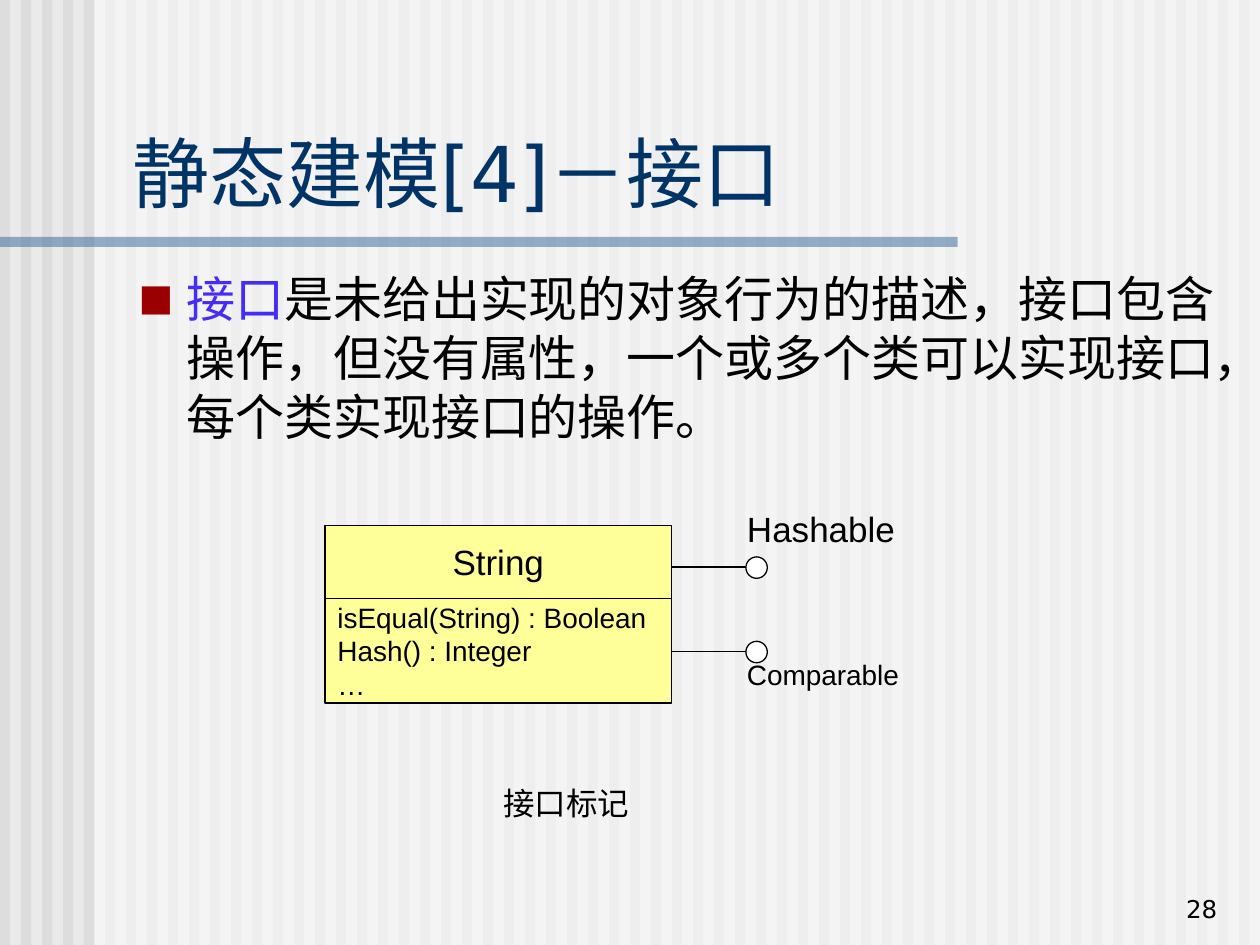
"""Build the slide on interfaces in static modelling."""
from dataclasses import dataclass

from lxml.etree import SubElement
from pptx import Presentation
from pptx.dml.color import RGBColor
from pptx.enum.shapes import MSO_CONNECTOR, MSO_SHAPE
from pptx.enum.text import MSO_ANCHOR, MSO_AUTO_SIZE, PP_ALIGN
from pptx.oxml.ns import qn
from pptx.util import Inches, Pt


@dataclass(frozen=True)
class Theme:
    background: str = "EAEAEA"
    stripe: str = "DDDDDD"
    white: str = "FFFFFF"
    rule: str = "336699"
    title: str = "003366"
    term: str = "452DF5"
    bullet: str = "9A0000"
    class_fill: str = "FFFF99"
    ink: str = "000000"
    heading_font: str = "DejaVu Sans"
    diagram_font: str = "Arial"
    title_size: int = 44
    body_size: int = 28
    name_size: int = 20
    caption_size: int = 18
    member_size: int = 16
    number_size: int = 14


THEME = Theme()


def rgb(color):
    return RGBColor.from_string(color)


def box(at):
    return [Inches(v) for v in at]


def place(sp, at):
    sp.left, sp.top, sp.width, sp.height = box(at)


def style_run(r, size, font, color=THEME.ink):
    r.font.size = Pt(size)
    r.font.name = font
    r.font.color.rgb = rgb(color)


def write(tf, lines, size, font, color=THEME.ink, align=PP_ALIGN.LEFT,
          anchor=MSO_ANCHOR.TOP, wrap=True):
    tf.text = "\n".join(lines)
    tf.word_wrap = wrap
    tf.auto_size = MSO_AUTO_SIZE.NONE
    tf.vertical_anchor = anchor
    for p in tf.paragraphs:
        p.alignment = align
        for r in p.runs:
            style_run(r, size, font, color)


def add_label(slide, at, text, size, font, **options):
    sp = slide.shapes.add_textbox(*box(at))
    write(sp.text_frame, [text], size, font, **options)


def add_filled(shapes, kind, at, fill, line_width=None, alpha=None):
    sp = shapes.add_shape(kind, *box(at))
    sp.shadow.inherit = False
    sp.fill.solid()
    sp.fill.fore_color.rgb = rgb(fill)
    if alpha:
        clr = sp.element.spPr.find(qn("a:solidFill"))[0]
        SubElement(clr, qn("a:alpha"), val=str(alpha * 1000))
    if line_width:
        sp.line.color.rgb = rgb(THEME.ink)
        sp.line.width = Pt(line_width)
    else:
        sp.line.fill.background()
    return sp


def add_backdrop(slide):
    slide.background.fill.solid()
    slide.background.fill.fore_color.rgb = rgb(THEME.background)
    group = slide.shapes.add_group_shape()
    rect = MSO_SHAPE.RECTANGLE
    for i in range(60):
        add_filled(group.shapes, rect, (i / 6, 0, 0.08, 7.5), THEME.stripe)
    add_filled(group.shapes, rect, (0.75, 0, 9.25, 7.5), THEME.white, alpha=50)
    add_filled(group.shapes, rect, (0, 1.88, 7.6, 0.08), THEME.rule, alpha=50)
    slide.shapes.element.insert(2, group.element)


def add_bullet(p):
    pPr = p._p.get_or_add_pPr()
    pPr.set("marL", str(Inches(0.38)))
    pPr.set("indent", str(-Inches(0.38)))
    SubElement(SubElement(pPr, qn("a:buClr")), qn("a:srgbClr"), val=THEME.bullet)
    SubElement(pPr, qn("a:buSzPct"), val="75000")
    SubElement(pPr, qn("a:buFont"), typeface=THEME.heading_font)
    SubElement(pPr, qn("a:buChar"), char="■")


def fill_title(slide, text):
    title = slide.shapes.title
    place(title, (0.95, 0.94, 8.93, 0.84))
    write(title.text_frame, [text], THEME.title_size, THEME.heading_font,
          THEME.title, anchor=MSO_ANCHOR.BOTTOM)


def fill_body(slide, term, definition):
    body = slide.placeholders[1]
    place(body, (1, 2.08, 8.87, 1.67))
    tf = body.text_frame
    write(tf, [term], THEME.body_size, THEME.heading_font, THEME.term)
    p = tf.paragraphs[0]
    p.space_before = Pt(7)
    add_bullet(p)
    r = p.add_run()
    r.text = definition
    style_run(r, THEME.body_size, THEME.heading_font)


def add_compartment(slide, top, height, lines, size, align):
    sp = add_filled(slide.shapes, MSO_SHAPE.RECTANGLE, (2.58, top, 2.75, height),
                    THEME.class_fill, line_width=1)
    write(sp.text_frame, lines, size, THEME.diagram_font, align=align,
          anchor=MSO_ANCHOR.MIDDLE, wrap=False)


def add_lollipop(slide, y):
    ends = box((5.33, y, 5.92, y))
    line = slide.shapes.add_connector(MSO_CONNECTOR.STRAIGHT, *ends)
    line.line.color.rgb = rgb(THEME.ink)
    line.line.width = Pt(0.75)
    SubElement(line.element.spPr, qn("a:effectLst"))
    add_filled(slide.shapes, MSO_SHAPE.OVAL, (5.92, y - 0.08, 0.17, 0.17),
               THEME.white, line_width=0.75)


def main():
    prs = Presentation()
    prs.slide_width, prs.slide_height = Inches(10), Inches(7.5)
    slide = prs.slides.add_slide(prs.slide_layouts[1])
    add_backdrop(slide)
    fill_title(slide, "静态建模[4]－接口")
    fill_body(slide, "接口", "是未给出实现的对象行为的描述，接口包含操作，但没有属性，"
              "一个或多个类可以实现接口，每个类实现接口的操作。")
    add_compartment(slide, 4.17, 0.58, ["String"], THEME.name_size, PP_ALIGN.CENTER)
    members = ["isEqual(String) : Boolean", "Hash() : Integer", "…"]
    add_compartment(slide, 4.75, 0.83, members, THEME.member_size, PP_ALIGN.LEFT)
    for y in (4.5, 5.17):
        add_lollipop(slide, y)
    font = THEME.diagram_font
    add_label(slide, (5.83, 3.98, 1.92, 0.44), "Hashable", THEME.name_size, font)
    add_label(slide, (5.83, 5.17, 2.67, 0.37), "Comparable", THEME.member_size, font)
    add_label(slide, (3.83, 6.17, 1.33, 0.4), "接口标记", THEME.caption_size, font,
              align=PP_ALIGN.CENTER)
    add_label(slide, (7.68, 6.88, 2.08, 0.5), "28", THEME.number_size,
              THEME.heading_font, align=PP_ALIGN.RIGHT, anchor=MSO_ANCHOR.BOTTOM)
    prs.save("out.pptx")


main()
